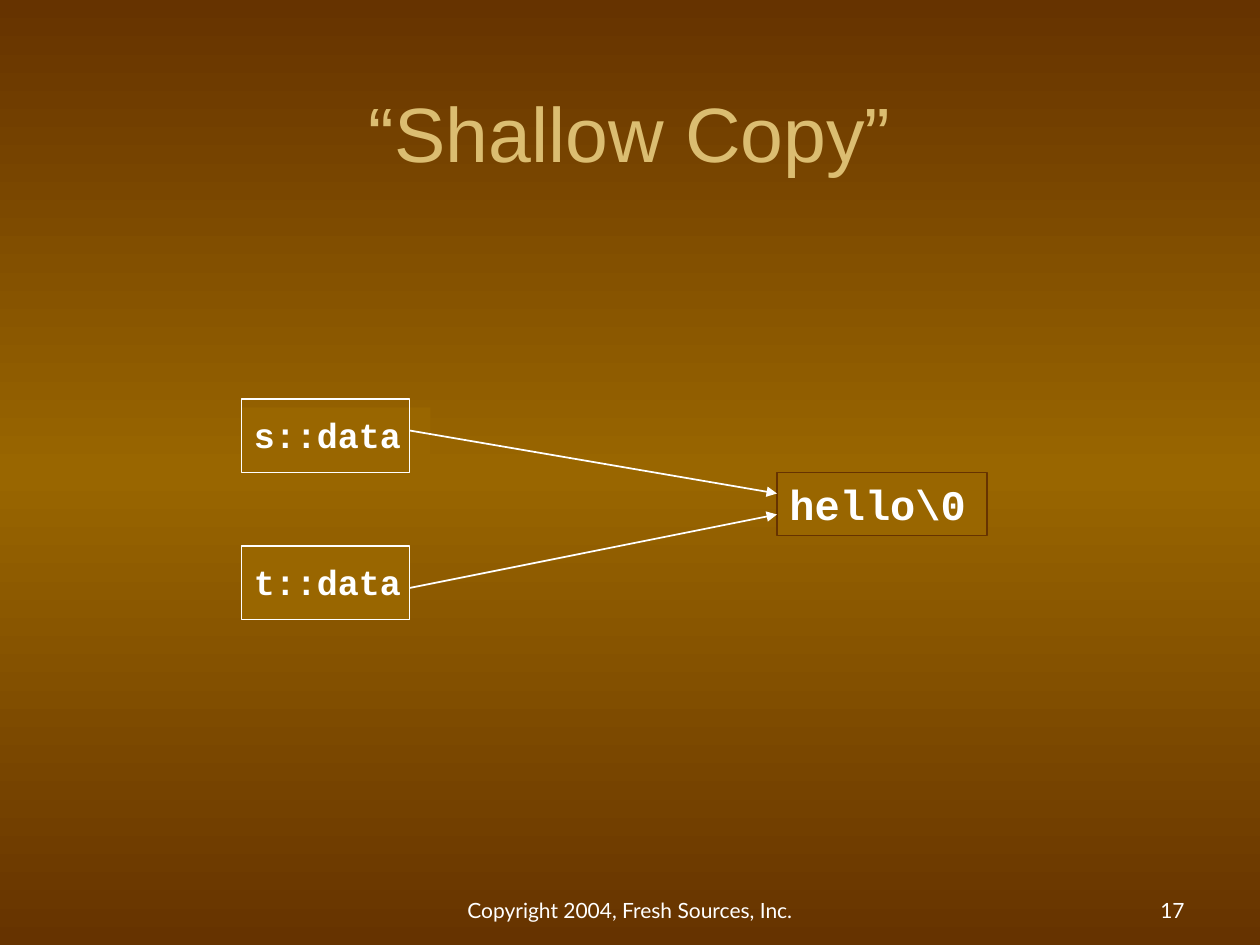
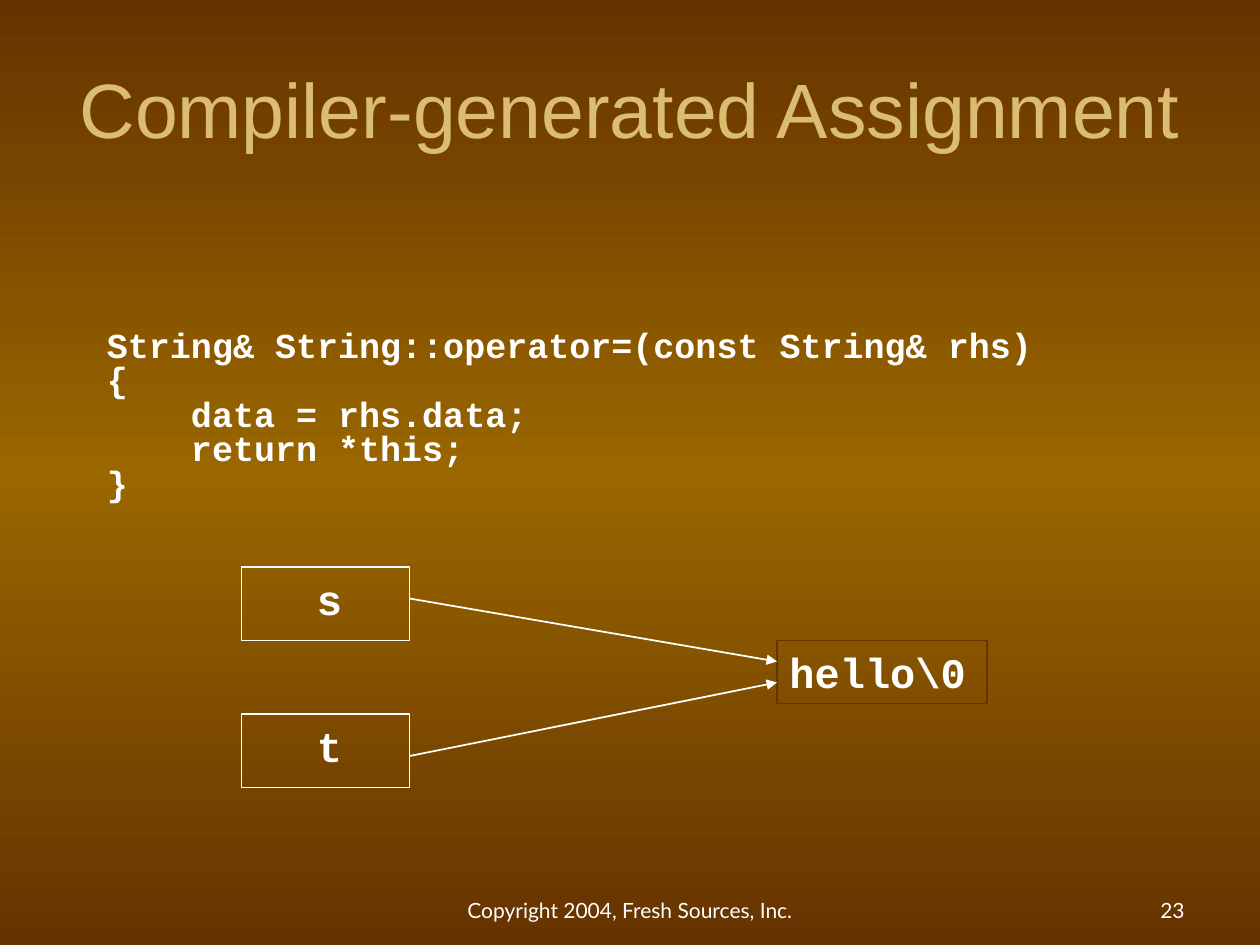
from copy import deepcopy

from lxml import etree
from pptx import Presentation
from pptx.dml.color import RGBColor
from pptx.enum import shapes, text
from pptx.oxml.ns import qn
from pptx.util import Pt

BROWN = RGBColor(0x66, 0x33, 0x00)
OCHRE = RGBColor(0x99, 0x66, 0x00)
GOLD = RGBColor(0xDB, 0xBD, 0x71)
WHITE = RGBColor(0xFF, 0xFF, 0xFF)
TITLE_FONT, CODE_FONT, FOOTER_FONT = "Arial", "Courier New", "Lato"

FOOTER = "Copyright 2004, Fresh Sources, Inc."
ASSIGNMENT_CODE = [
    "String& String::operator=(const String& rhs)",
    "{",
    "    data = rhs.data;",
    "    return *this;",
    "}",
]
SLIDES = [
    dict(title="“Shallow Copy”", title_at=(54, 30, 612, 90), title_spacing=1.0,
         number="17", code=[],
         diagram=dict(top=228, names=("s::data", "t::data"), size=20,
                      label_at=(138, 4.8, 108, 31.7), fill=OCHRE)),
    dict(title="Compiler-generated Assignment", title_at=(36, 21.6, 648, 90),
         title_spacing=0.8, number="23", code=ASSIGNMENT_CODE,
         diagram=dict(top=324, names=("s", "t"), size=24,
                      label_at=(174, 0, 30, 36), fill=None)),
]

# Pointer diagram: two variable boxes on the left, the shared string on the right
BOX_LEFT, BOX_W, BOX_H, BOX_STEP = 138, 96, 42, 84
STRING_LEFT, STRING_W, STRING_H = 444, 120, 36
ARROWS = [(108, 66), (18, 54)]  # start and end below the diagram's top


def write(sp, lines, font, size, color, align=text.PP_ALIGN.LEFT,
          anchor=text.MSO_ANCHOR.TOP, bold=False, spacing=None):
    tf = sp.text_frame
    tf.word_wrap = True
    tf.vertical_anchor = anchor
    for i, line in enumerate(lines):
        p = tf.add_paragraph() if i else tf.paragraphs[0]
        p.text = line
        p.alignment = align
        p.line_spacing = spacing
        p.font.name, p.font.size, p.font.bold = font, Pt(size), bold
        p.font.color.rgb = color
    return tf


def add_text(slide, at, lines, *style, **options):
    sp = slide.shapes.add_textbox(*map(Pt, at))
    return sp, write(sp, lines, *style, **options)


def add_box(slide, at, line, fill):
    sp = slide.shapes.add_shape(shapes.MSO_SHAPE.RECTANGLE, *map(Pt, at))
    sp.shadow.inherit = False
    sp.line.color.rgb = line
    sp.line.width = Pt(1)
    if fill is None:
        sp.fill.background()
    else:
        sp.fill.solid()
        sp.fill.fore_color.rgb = fill
    return sp


def add_arrow(slide, x1, y1, x2, y2):
    cn = slide.shapes.add_connector(shapes.MSO_CONNECTOR.STRAIGHT,
                                    *map(Pt, (x1, y1, x2, y2)))
    cn.line.color.rgb = WHITE
    cn.line.width = Pt(1)
    etree.SubElement(cn.line._get_or_add_ln(), qn("a:tailEnd"), type="triangle")
    etree.SubElement(cn.element.spPr, qn("a:effectLst"))


def add_diagram(slide, top, names, size, label_at, fill):
    s_top, t_top = top, top + BOX_STEP
    string = add_box(slide, (STRING_LEFT, top + BOX_H, STRING_W, STRING_H), BROWN, fill)
    write(string, ["hello\\0"], CODE_FONT, 24, WHITE, bold=True)

    add_box(slide, (BOX_LEFT, t_top, BOX_W, BOX_H), WHITE, fill)
    left, drop, width, height = label_at
    for name, y, label_fill in zip(names, (s_top, t_top), (fill, None)):
        sp, _ = add_text(slide, (left, y + drop, width, height), [name],
                         CODE_FONT, size, WHITE, bold=True)
        if label_fill is not None:
            sp.fill.solid()
            sp.fill.fore_color.rgb = label_fill
    add_box(slide, (BOX_LEFT, s_top, BOX_W, BOX_H), WHITE, None)

    for start, end in ARROWS:
        add_arrow(slide, BOX_LEFT + BOX_W, top + start, STRING_LEFT, top + end)


def set_background(master):
    """Give every slide the vertical brown-ochre-brown gradient."""
    fill = master.background.fill
    fill.gradient()
    fill.gradient_angle = 270
    stops = master.element.cSld.find(".//" + qn("a:gsLst"))
    stops.insert(1, deepcopy(stops[0]))
    for stop, position, color in zip(fill.gradient_stops, (0, 0.5, 1),
                                     (BROWN, OCHRE, BROWN)):
        stop.position = position
        stop.color.rgb = color


def add_slide(prs, title, title_at, title_spacing, number, code, diagram):
    slide = prs.slides.add_slide(prs.slide_layouts[6])
    add_text(slide, title_at, [title], TITLE_FONT, 44, GOLD, text.PP_ALIGN.CENTER,
             text.MSO_ANCHOR.MIDDLE, spacing=title_spacing)
    if code:
        _, tf = add_text(slide, (54, 156, 624, 130), code, CODE_FONT, 20, WHITE,
                         bold=True, spacing=Pt(19.7))
        tf.margin_top = Pt(33)
    add_diagram(slide, **diagram)
    for at, line, align in (((246, 494.6, 228, 36), FOOTER, text.PP_ALIGN.CENTER),
                            ((516, 494.6, 168, 36), number, text.PP_ALIGN.RIGHT)):
        add_text(slide, at, [line], FOOTER_FONT, 12, WHITE, align,
                 text.MSO_ANCHOR.BOTTOM)


def main():
    prs = Presentation()
    prs.slide_width, prs.slide_height = Pt(720), Pt(540)
    set_background(prs.slide_master)
    for content in SLIDES:
        add_slide(prs, **content)
    prs.save("out.pptx")


if __name__ == "__main__":
    main()
